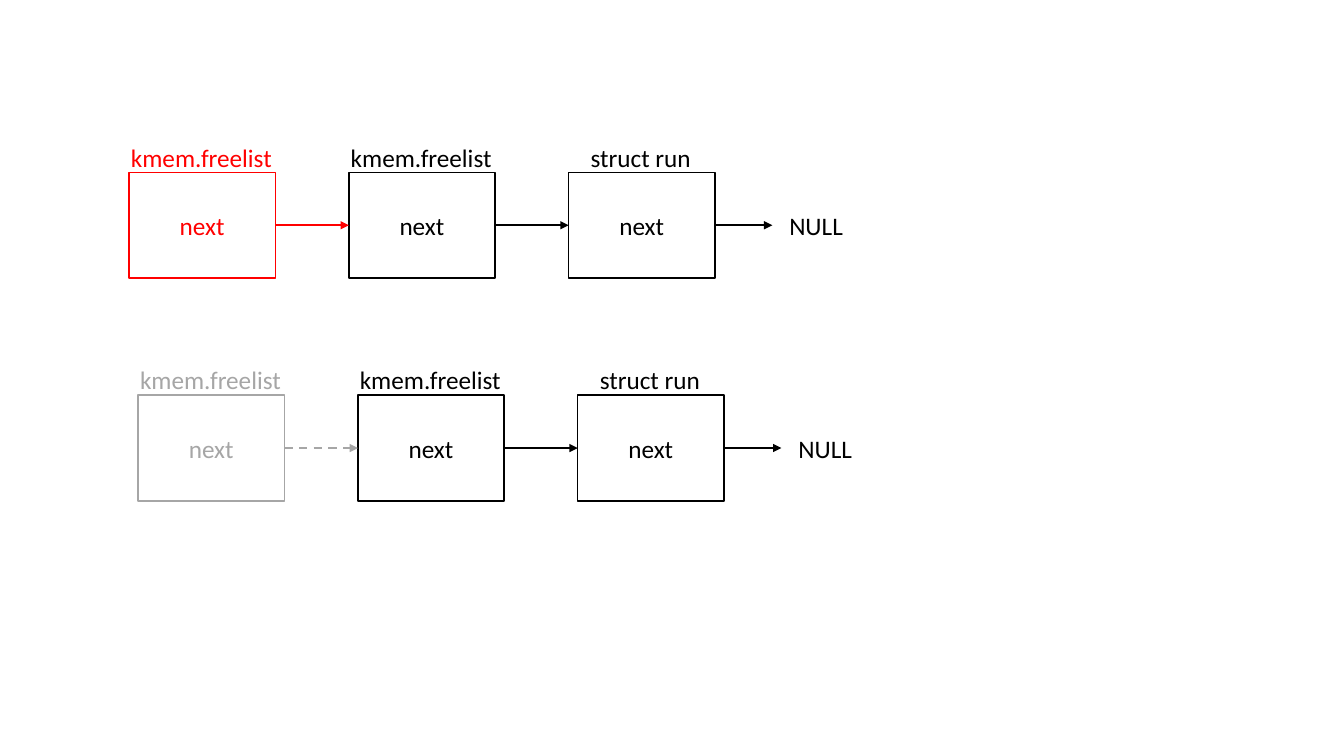
from lxml.etree import SubElement
from pptx import Presentation
from pptx.dml.color import RGBColor
from pptx.enum.dml import MSO_LINE_DASH_STYLE as Dash
from pptx.enum.shapes import MSO_CONNECTOR as Connector, MSO_SHAPE as Shape
from pptx.enum.text import MSO_ANCHOR as Anchor, MSO_AUTO_SIZE as AutoSize, PP_ALIGN as Align
from pptx.oxml.ns import qn
from pptx.util import Inches, Pt

COLORS = {"paper": "FFFFFF", "ink": "000000", "added": "FF0000", "removed": "A6A6A6"}
TEXT_FORMAT = {"name": "Calibri", "size": Pt(18)}

COLUMN = 2.18
NODE_W, NODE_H = 1.45, 1.05
LABEL_H, LABEL_RISE = 0.4, 0.35
LABEL_WIDTHS = {"kmem.freelist": 1.61, "struct run": 1.21, "NULL": 0.74}
LAST_ARROW, NULL_GAP = 0.57, 0.07
LEFT_SIDE, RIGHT_SIDE = 1, 3  # connection sites of a rectangle

NODE_LABELS = ("kmem.freelist", "kmem.freelist", "struct run")
# left, top, colour of the first node, dash of its arrow
FREE_LISTS = (
    (1.28, 1.71, "added", None),
    (1.37, 3.92, "removed", Dash.DASH),
)


def color(name):
    return RGBColor.from_string(COLORS[name])


def write(frame, text, tint, align):
    paragraph = frame.paragraphs[0]
    paragraph.alignment = align
    run = paragraph.add_run()
    run.text = text
    for key, value in TEXT_FORMAT.items():
        setattr(run.font, key, value)
    run.font.color.rgb = color(tint)


def add_node(slide, left, top, tint):
    node = slide.shapes.add_shape(
        Shape.RECTANGLE, Inches(left), Inches(top), Inches(NODE_W), Inches(NODE_H))
    node.shadow.inherit = False
    node.fill.solid()
    node.fill.fore_color.rgb = color("paper")
    node.line.color.rgb = color(tint)
    node.line.width = Pt(1)
    node.text_frame.vertical_anchor = Anchor.MIDDLE
    write(node.text_frame, "next", tint, Align.CENTER)
    return node


def add_label(slide, text, left, top, tint):
    label = slide.shapes.add_textbox(
        Inches(left), Inches(top), Inches(LABEL_WIDTHS[text]), Inches(LABEL_H))
    label.text_frame.word_wrap = False
    label.text_frame.auto_size = AutoSize.SHAPE_TO_FIT_TEXT
    write(label.text_frame, text, tint, Align.LEFT)


def add_pointer(slide, source, target, tint, dash=None):
    """Draw an arrow from source to the target node, or to NULL if target is None."""
    start = source.left + source.width
    middle = source.top + source.height // 2
    pointer = slide.shapes.add_connector(
        Connector.STRAIGHT, start, middle, start + Inches(LAST_ARROW), middle)
    pointer.begin_connect(source, RIGHT_SIDE)
    if target is not None:
        pointer.end_connect(target, LEFT_SIDE)
    pointer.line.color.rgb = color(tint)
    pointer.line.width = Pt(1.5)
    if dash is not None:
        pointer.line.dash_style = dash
    properties = pointer._element.spPr
    SubElement(properties.find(qn("a:ln")), qn("a:tailEnd"), type="triangle")
    SubElement(properties, qn("a:effectLst"))


def add_free_list(slide, left, top, head_tint, head_dash):
    tints = (head_tint, "ink", "ink")
    dashes = (head_dash, None, None)
    lefts = [left + column * COLUMN for column in range(len(NODE_LABELS))]
    nodes = [add_node(slide, x, top, tint) for x, tint in zip(lefts, tints)]
    for source, target, tint, dash in zip(nodes, nodes[1:] + [None], tints, dashes):
        add_pointer(slide, source, target, tint, dash)
    for text, x, tint in zip(NODE_LABELS, lefts, tints):
        centered = x + (NODE_W - LABEL_WIDTHS[text]) / 2
        add_label(slide, text, centered, top - LABEL_RISE, tint)
    null_left = lefts[-1] + NODE_W + LAST_ARROW + NULL_GAP
    add_label(slide, "NULL", null_left, top + (NODE_H - LABEL_H) / 2, "ink")


def main():
    deck = Presentation()
    deck.slide_width, deck.slide_height = Inches(13.33), Inches(7.5)
    slide = deck.slides.add_slide(deck.slide_layouts[6])
    for free_list in FREE_LISTS:
        add_free_list(slide, *free_list)
    deck.save("out.pptx")


if __name__ == "__main__":
    main()
